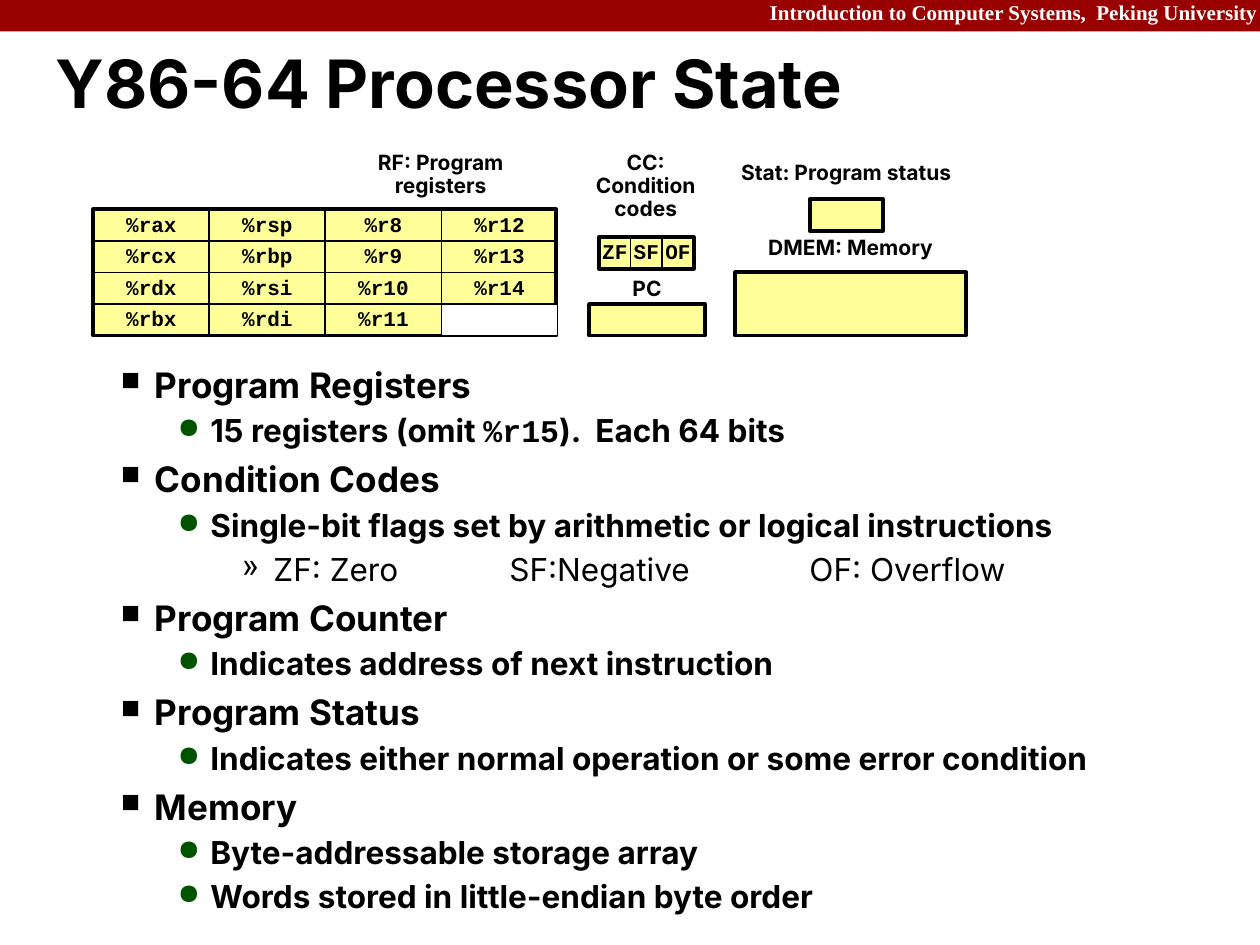
"""Builds the Y86-64 Processor State slide."""
from lxml import etree
from pptx import Presentation
from pptx.dml.color import RGBColor
from pptx.enum.shapes import MSO_SHAPE
from pptx.enum.text import MSO_ANCHOR, PP_ALIGN
from pptx.oxml.ns import qn
from pptx.util import Pt

PX = 9144
RECT = MSO_SHAPE.RECTANGLE
MIDDLE = MSO_ANCHOR.MIDDLE
LEFT, CENTER, RIGHT = PP_ALIGN.LEFT, PP_ALIGN.CENTER, PP_ALIGN.RIGHT
BLACK = RGBColor(0x00, 0x00, 0x00)
WHITE = RGBColor(0xFF, 0xFF, 0xFF)
CRIMSON = RGBColor(0x99, 0x00, 0x00)
YELLOW = RGBColor(0xFF, 0xFF, 0x99)
GREEN = RGBColor(0x00, 0x54, 0x00)
SANS, MONO, SERIF = "Inter", "Courier New", "Times New Roman"


def add_box(shapes, x, y, w, h, fill=None, line=2.25):
    box = shapes.add_shape(RECT, x * PX, y * PX, w * PX, h * PX)
    box.shadow.inherit = False
    if fill is None:
        box.fill.background()
    else:
        box.fill.solid()
        box.fill.fore_color.rgb = fill
    if line:
        box.line.color.rgb = BLACK
        box.line.width = Pt(line)
    else:
        box.line.fill.background()
    return box


def write(paragraph, text, size, font=SANS, color=BLACK, align=CENTER, spacing=0.9, bold=True):
    paragraph.alignment = align
    paragraph.line_spacing = spacing
    paragraph.font.size = Pt(size)
    paragraph.font.name = font
    paragraph.font.color.rgb = color
    paragraph.font.bold = bold
    before, code, after = text.partition("%r15")
    for part in filter(None, (before, code, after)):
        run = paragraph.add_run()
        run.text = part
        if part == code:
            run.font.name = MONO


prs = Presentation()
prs.slide_width, prs.slide_height = 999 * PX, 749 * PX
slide = prs.slides.add_slide(prs.slide_layouts[6])
shapes = slide.shapes

add_box(shapes, 0, 0, 999, 25, CRIMSON, line=0)
course = shapes.add_textbox(600 * PX, -3 * PX, 407 * PX, 28 * PX).text_frame
course.word_wrap = True
course.margin_left = 0
write(course.paragraphs[0], "Introduction to Computer Systems,  Peking University", 12,
      SERIF, WHITE, RIGHT)

title = shapes.add_textbox(44 * PX, 27 * PX, 952 * PX, 85 * PX).text_frame
title.word_wrap = True
title.vertical_anchor = MIDDLE
title.margin_left = title.margin_right = title.margin_top = title.margin_bottom = 0
write(title.paragraphs[0], "Y86-64 Processor State", 38, align=LEFT, spacing=0.87)

register_file = shapes.add_group_shape().shapes
add_box(register_file, 74, 166, 367, 100, YELLOW)
add_box(shapes, 475, 188, 75, 25, YELLOW)

REGISTERS = [
    ["%rax", "%rcx", "%rdx", "%rbx"],
    ["%rsp", "%rbp", "%rsi", "%rdi"],
    ["%r8", "%r9", "%r10", "%r11"],
    ["%r12", "%r13", "%r14", ""],
]
cells = [(register_file, 74 + 92 * col, 166 + 25 * row, 92, name)
         for col, names in enumerate(REGISTERS) for row, name in enumerate(names)]
cells += [(shapes, 475 + 25 * col, 188, 25, flag) for col, flag in enumerate(["ZF", "SF", "OF"])]
for parent, x, y, width, name in cells:
    cell = add_box(parent, x, y, width, 25, None if name else WHITE, line=1)
    if name:
        cell.text_frame.word_wrap = False
        cell.text_frame.vertical_anchor = MIDDLE
        write(cell.text_frame.paragraphs[0], name, 12, MONO)

for x, y, w, h in [(467, 241, 92, 25), (583, 216, 183, 50), (642, 158, 58, 25)]:
    add_box(shapes, x, y, w, h, YELLOW)

LABELS = [
    ("RF: Program registers", 258, 116, 183, 50),
    ("CC: Condition codes", 458, 116, 108, 65),
    ("PC", 467, 216, 92, 30),
    ("DMEM: Memory", 583, 183, 183, 30),
    ("Stat: Program status", 567, 124, 208, 30),
]
for text, x, y, w, h in LABELS:
    label = shapes.add_textbox(x * PX, y * PX, w * PX, h * PX).text_frame
    label.word_wrap = True
    write(label.paragraphs[0], text, 12)

# level: indent, hanging, space before, line spacing, size, bold, bullet, bullet colour, bullet %
LEVELS = {
    1: (81, 27, 5, 1.0, 20, True, "■", BLACK, 75),
    2: (125, 26, 1.8, 1.07, 18, True, "●", GREEN, 90),
    3: (175, 25, 3.6, 1.0, 18, False, "»", BLACK, 100),
}
POINTS = [
    (1, "Program Registers"),
    (2, "15 registers (omit %r15).  Each 64 bits"),
    (1, "Condition Codes"),
    (2, "Single-bit flags set by arithmetic or logical instructions"),
    (3, "ZF: Zero\tSF:Negative\tOF: Overflow"),
    (1, "Program Counter"),
    (2, "Indicates address of next instruction"),
    (1, "Program Status"),
    (2, "Indicates either normal operation or some error condition"),
    (1, "Memory"),
    (2, "Byte-addressable storage array"),
    (2, "Words stored in little-endian byte order"),
]
body = shapes.add_textbox(32 * PX, 283 * PX, 907 * PX, 420 * PX).text_frame
body.word_wrap = True
for index, (level, text) in enumerate(POINTS):
    indent, hanging, before, spacing, size, bold, bullet, color, percent = LEVELS[level]
    point = body.add_paragraph() if index else body.paragraphs[0]
    point.level = level - 1
    point.space_before = Pt(before)
    props = point._p.get_or_add_pPr()
    props.set("marL", str(indent * PX))
    props.set("indent", str(-hanging * PX))
    bullet_color = etree.SubElement(props, qn("a:buClr"))
    etree.SubElement(bullet_color, qn("a:srgbClr"), val=str(color))
    etree.SubElement(props, qn("a:buSzPct"), val=str(percent * 1000))
    etree.SubElement(props, qn("a:buChar"), char=bullet)
    if "\t" in text:
        tabs = etree.SubElement(props, qn("a:tabLst"))
        for stop in (362, 600):
            etree.SubElement(tabs, qn("a:tab"), pos=str(stop * PX), algn="l")
    write(point, text, size, align=LEFT, spacing=spacing, bold=bold)

prs.save("out.pptx")
